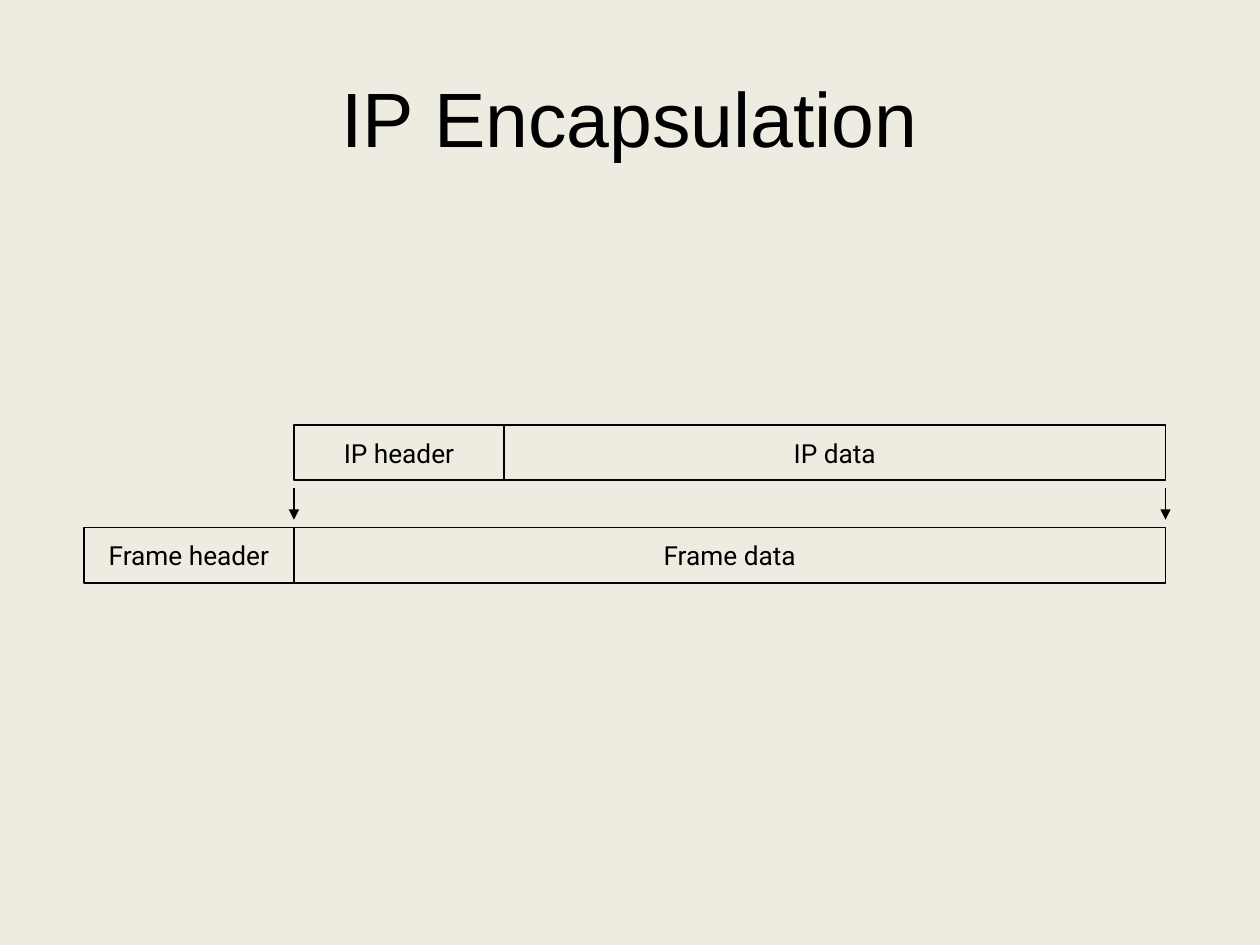
from dataclasses import dataclass

from lxml import etree
from pptx import Presentation
from pptx import util as u
from pptx.dml.color import RGBColor
from pptx.enum import shapes, text
from pptx.oxml.ns import qn

COLORS = {"background": "EEECE1", "ink": "000000"}
INK = RGBColor.from_string(COLORS["ink"])

HEADER_WIDTH = 120
FIELD_HEIGHT = 31.5
FRAME_LEFT, FRAME_TOP = 48, 301.5
PACKET_LEFT, PACKET_TOP = FRAME_LEFT + HEADER_WIDTH, 243
RIGHT = 666
ARROW_GAP = 4.5


@dataclass(frozen=True)
class Unit:
    """A protocol unit: a fixed-width header followed by its data."""
    name: str
    left: float
    top: float


UNITS = [
    Unit("Frame", FRAME_LEFT, FRAME_TOP),
    Unit("IP", PACKET_LEFT, PACKET_TOP),
]


def write_line(frame, words: str, font_name: str, size: float) -> None:
    frame_format = {
        "vertical_anchor": text.MSO_ANCHOR.MIDDLE,
        "margin_left": u.Pt(6.5), "margin_right": u.Pt(6.5),
        "margin_top": u.Pt(3), "margin_bottom": u.Pt(3),
    }
    for name, value in frame_format.items():
        setattr(frame, name, value)
    para = frame.paragraphs[0]
    para.alignment = text.PP_ALIGN.CENTER
    span = para.add_run()
    span.text = words
    for name, value in {"name": font_name, "size": u.Pt(size)}.items():
        setattr(span.font, name, value)
    span.font.color.rgb = INK


def set_line(line) -> None:
    line.color.rgb = INK
    line.width = u.Pt(1)


def draw_field(page, label: str, left: float, top: float, width: float) -> None:
    box = page.shapes.add_shape(
        shapes.MSO_SHAPE.RECTANGLE,
        u.Pt(left), u.Pt(top), u.Pt(width), u.Pt(FIELD_HEIGHT))
    box.shadow.inherit = False
    box.fill.background()
    set_line(box.line)
    box.text_frame.word_wrap = False
    write_line(box.text_frame, label, "Roboto", 15)


def draw_unit(page, unit: Unit) -> None:
    data_left = unit.left + HEADER_WIDTH
    draw_field(page, f"{unit.name} header", unit.left, unit.top, HEADER_WIDTH)
    draw_field(page, f"{unit.name} data", data_left, unit.top, RIGHT - data_left)


def draw_down_arrow(page, x: float, top: float, bottom: float) -> None:
    arrow = page.shapes.add_connector(
        shapes.MSO_CONNECTOR.STRAIGHT,
        u.Pt(x), u.Pt(top), u.Pt(x), u.Pt(bottom))
    set_line(arrow.line)
    etree.SubElement(arrow.line._get_or_add_ln(), qn("a:tailEnd"), type="triangle")
    etree.SubElement(arrow._element.spPr, qn("a:effectLst"))


def main() -> None:
    deck = Presentation()
    deck.slide_width, deck.slide_height = u.Pt(720), u.Pt(540)
    page = deck.slides.add_slide(deck.slide_layouts.get_by_name("Title Only"))
    fill = page.background.fill
    fill.solid()
    fill.fore_color.rgb = RGBColor.from_string(COLORS["background"])

    title = page.shapes.title
    place = {"left": 36, "top": 21.6, "width": 648, "height": 90}
    for name, value in place.items():
        setattr(title, name, u.Pt(value))
    write_line(title.text_frame, "IP Encapsulation", "Arial", 44)

    for unit in UNITS:
        draw_unit(page, unit)
    for x in (PACKET_LEFT, RIGHT):
        draw_down_arrow(page, x, PACKET_TOP + FIELD_HEIGHT + ARROW_GAP,
                        FRAME_TOP - ARROW_GAP)
    deck.save("out.pptx")


if __name__ == "__main__":
    main()
